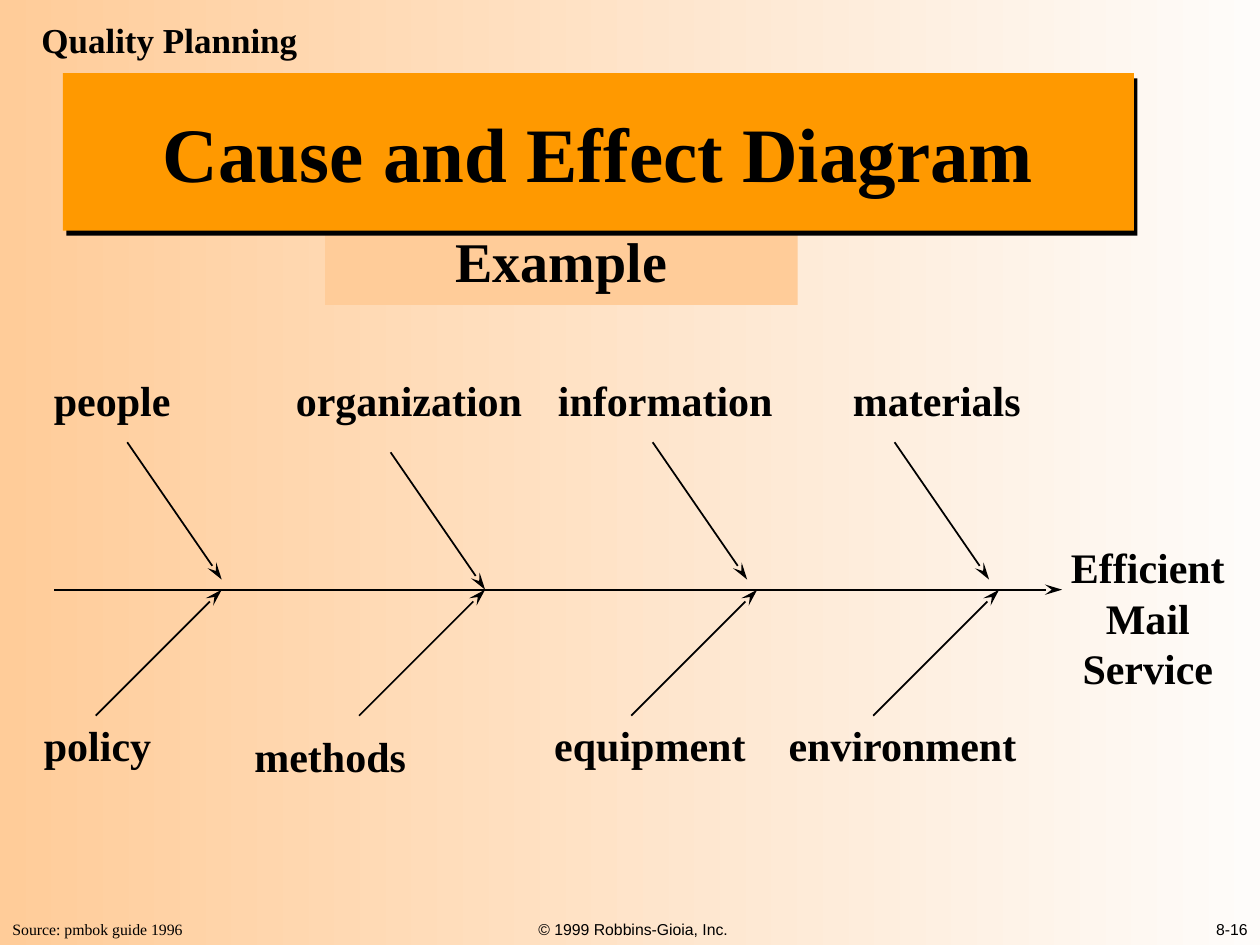
from dataclasses import dataclass

from lxml.etree import SubElement
from pptx import Presentation
from pptx.dml.color import RGBColor
from pptx.enum.shapes import MSO_CONNECTOR, MSO_SHAPE
from pptx.enum.text import MSO_ANCHOR, PP_ALIGN
from pptx.oxml.ns import qn
from pptx.util import Inches, Pt


@dataclass(frozen=True)
class Theme:
    ink: RGBColor = RGBColor.from_string("000000")
    banner: RGBColor = RGBColor.from_string("FF9900")
    peach: RGBColor = RGBColor.from_string("FFCC99")
    cream: RGBColor = RGBColor.from_string("FEFCFA")
    serif: str = "Times New Roman"
    sans: str = "Arial"
    title: int = 44
    subtitle: int = 32
    section: int = 20
    label: int = 24
    footer: int = 9
    line: int = 1


THEME = Theme()
LEFT, CENTER, RIGHT = PP_ALIGN.LEFT, PP_ALIGN.CENTER, PP_ALIGN.RIGHT

SECTION = "Quality Planning"
TITLE = "Cause and Effect Diagram"
SUBTITLE = "Example"
EFFECT = ["Efficient", "Mail", "Service"]
SOURCE = "Source: pmbok guide 1996"
FOOTERS = [
    ("© 1999 Robbins-Gioia, Inc.", 3.4, CENTER),
    ("8-16", 6.75, RIGHT),
]

SPINE_Y = 4.68
SPINE = (0.43, 8.43)
UPPER_RUN, UPPER_RISE = 0.75, 1.09
LOWER_RUN, LOWER_RISE = 1, 1
LABEL_HEIGHT = 0.5
UPPER_LABEL_TOP = 2.92
UPPER_CAUSES = [
    ("people", 0.33, 1.13, 1.76, 4.6),
    ("organization", 2.25, 2, 3.85, SPINE_Y),
    ("information", 4.33, 1.91, 5.93, 4.6),
    ("materials", 6.67, 1.54, 7.85, 4.6),
]
LOWER_CAUSES = [
    ("policy", 0.25, 5.66, 1.05, 1.76),
    ("methods", 1.92, 5.75, 1.41, 3.85),
    ("equipment", 4.3, 5.66, 1.72, 6.01),
    ("environment", 6.16, 5.66, 2.02, 7.93),
]


def write(frame, lines, size, font=THEME.serif, bold=True, align=LEFT):
    """Fill a text frame with one paragraph per line."""
    for index, line in enumerate(lines):
        para = frame.add_paragraph() if index else frame.paragraphs[0]
        para.text = line
        para.alignment = align
        para.font.name = font
        para.font.size = Pt(size)
        para.font.bold = bold
        para.font.color.rgb = THEME.ink


def add_text(page, lines, place, size, wrap=False, anchor=MSO_ANCHOR.TOP, **style):
    """Add a text box."""
    frame = page.shapes.add_textbox(*map(Inches, place)).text_frame
    frame.word_wrap = wrap
    frame.vertical_anchor = anchor
    write(frame, lines, size, **style)


def add_panel(page, text, place, fill, size, anchor):
    """Add a filled rectangle with centred text."""
    panel = page.shapes.add_shape(MSO_SHAPE.RECTANGLE, *map(Inches, place))
    panel.shadow.inherit = False
    panel.fill.solid()
    panel.fill.fore_color.rgb = fill
    panel.line.fill.background()
    panel.text_frame.vertical_anchor = anchor
    write(panel.text_frame, [text], size, align=CENTER)
    return panel


def add_hard_shadow(shape):
    """Give a shape a sharp shadow below and to the right."""
    effects = shape._element.spPr.find(qn("a:effectLst"))
    shadow = SubElement(effects, qn("a:outerShdw"), blurRad="0", dist=str(Pt(3.6)),
                        dir=str(56 * 60000), algn="ctr", rotWithShape="0")
    SubElement(shadow, qn("a:srgbClr"), val=str(THEME.ink))


def add_arrow(page, *ends):
    """Draw a thin arrow with a long stealth head."""
    arrow = page.shapes.add_connector(MSO_CONNECTOR.STRAIGHT, *map(Inches, ends))
    arrow.line.color.rgb = THEME.ink
    arrow.line.width = Pt(THEME.line)
    SubElement(arrow.line._get_or_add_ln(), qn("a:tailEnd"),
               type="stealth", w="med", len="lg")
    SubElement(arrow._element.spPr, qn("a:effectLst"))


def add_background(page):
    """Fade the page from peach on the left to cream on the right."""
    fill = page.background.fill
    fill.gradient()
    fill.gradient_angle = 180
    for stop, color in zip(fill.gradient_stops, (THEME.cream, THEME.peach)):
        stop.color.rgb = color


def add_fishbone(page):
    """Draw the spine, its causes and the effect."""
    add_arrow(page, SPINE[0], SPINE_Y, SPINE[1], SPINE_Y)
    for name, left, width, tip_x, tip_y in UPPER_CAUSES:
        add_arrow(page, tip_x - UPPER_RUN, tip_y - UPPER_RISE, tip_x, tip_y)
        add_text(page, [name], (left, UPPER_LABEL_TOP, width, LABEL_HEIGHT), THEME.label)
    for name, left, top, width, tip_x in LOWER_CAUSES:
        add_arrow(page, tip_x - LOWER_RUN, SPINE_Y + LOWER_RISE, tip_x, SPINE_Y)
        add_text(page, [name], (left, top, width, LABEL_HEIGHT), THEME.label)
    add_text(page, EFFECT, (8.4, 4.25, 1.42, 1.3), THEME.label, align=CENTER)


def main():
    """Build and save the slide."""
    deck = Presentation()
    deck.slide_width, deck.slide_height = Inches(10), Inches(7.5)
    page = deck.slides.add_slide(deck.slide_layouts[6])
    add_background(page)
    add_text(page, [SOURCE], (0, 7.25, 1.55, 0.25), THEME.footer, bold=False)
    for text, left, align in FOOTERS:
        add_text(page, [text], (left, 7, 3.25, 0.5), THEME.footer, wrap=True,
                 anchor=MSO_ANCHOR.BOTTOM, font=THEME.sans, bold=False, align=align)
    add_panel(page, SUBTITLE, (2.58, 1.75, 3.75, 0.67), THEME.peach,
              THEME.subtitle, MSO_ANCHOR.TOP)
    banner = add_panel(page, TITLE, (0.5, 0.58, 8.5, 1.25), THEME.banner,
                       THEME.title, MSO_ANCHOR.MIDDLE)
    add_hard_shadow(banner)
    add_fishbone(page)
    add_text(page, [SECTION], (0.23, 0.1, 2.4, 0.44), THEME.section, wrap=True)
    deck.save("out.pptx")


if __name__ == "__main__":
    main()
